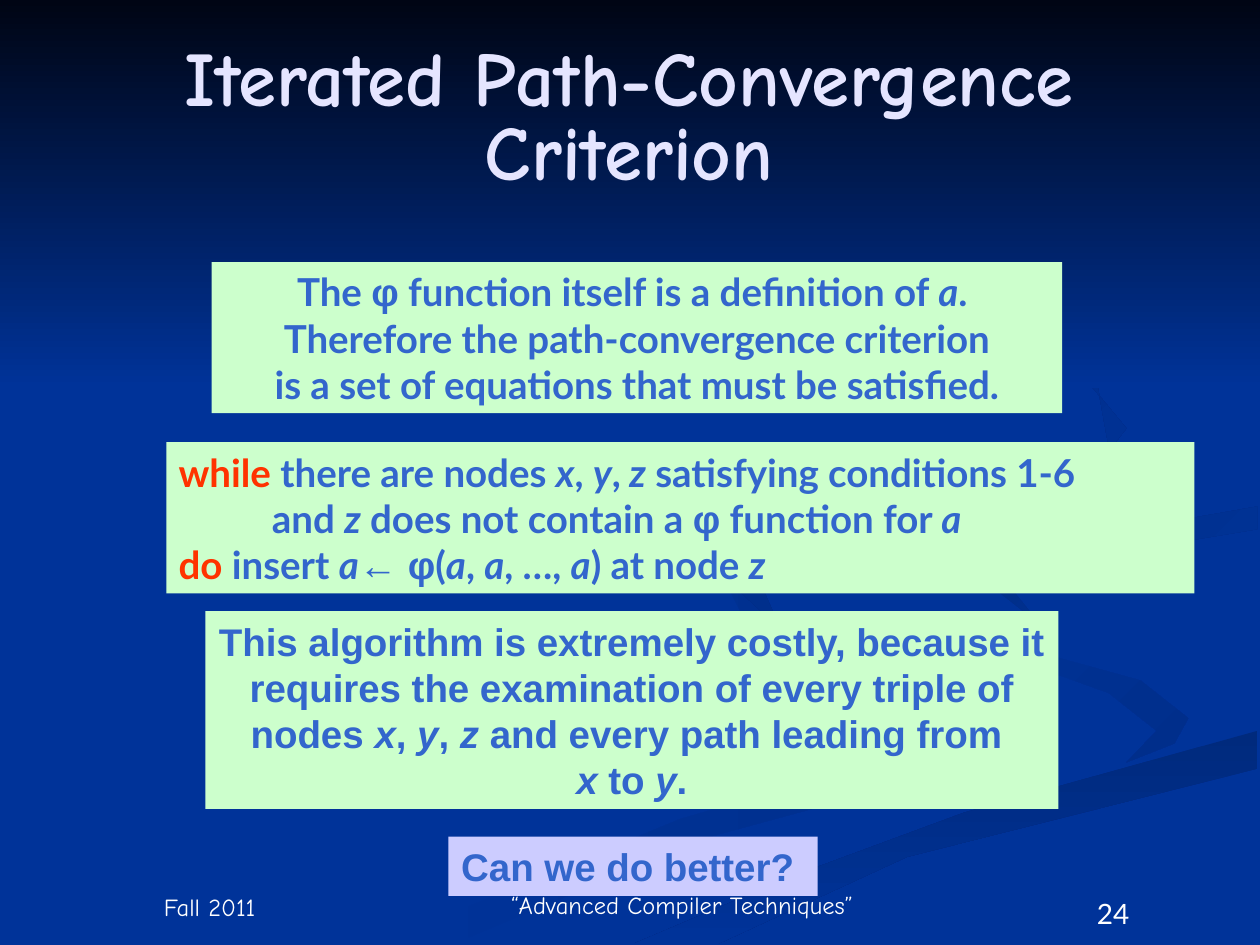
from pptx import Presentation
from pptx.dml.color import RGBColor
from pptx.enum.shapes import MSO_SHAPE
from pptx.enum.text import MSO_ANCHOR, MSO_AUTO_SIZE, PP_ALIGN
from pptx.util import Inches, Pt

RECT = MSO_SHAPE.RECTANGLE
MIDDLE, BOTTOM, TOP = MSO_ANCHOR.MIDDLE, MSO_ANCHOR.BOTTOM, MSO_ANCHOR.TOP
CENTER, LEFT = PP_ALIGN.CENTER, PP_ALIGN.LEFT
HAND, SANS, BODY = "Comic Neue", "Arial", "Lato"

COLORS = {
    "back": "003399", "night": "000514", "title": "E5E5FF", "white": "FFFFFF",
    "text": "3366CC", "keyword": "FF3300", "green": "CCFFCC", "lilac": "CCCCFF",
    "swirl": "002E8B", "band": "002A7D", "wisp": "002D86", "loop": "002B82",
}

SWIRLS = [
    ("back", "swirl", 0, [
        (7.8, 5.5), (6.4, 5.1), (5.75, 4.6), (5.9, 4.9), (7.7, 5.5), (7.8, 5.8),
        (5.4, 6.5), (3, 7.49), (3.6, 7.49), (5.6, 6.65), (7.8, 6.05), (8, 5.8)]),
    ("back", "swirl", 45, [
        (9.43, 5.7), (9.05, 5.4), (7.6, 5), (7.24, 4.64), (7.55, 5.05),
        (8.8, 5.5), (9.18, 5.8), (8.94, 6.05), (9.32, 5.9)]),
    ("band", "back", 90, [
        (5.03, 7.49), (5.7, 7.49), (7.2, 6.8), (9.98, 6.1), (9.98, 5.8),
        (7.65, 6.45), (6.3, 6.95)]),
    ("wisp", "back", 45, [
        (7.8, 4.6), (8.25, 4.95), (8.05, 4.7), (8.6, 4.43), (9.98, 4.2),
        (9.98, 4.02), (8.2, 4.33)]),
    ("loop", "back", 45, [
        (6.8, 4.3), (8.55, 3.9), (8.94, 3.4), (8.4, 2.75), (7.6, 2.33),
        (8.7, 3), (8.8, 3.55), (6.25, 4.25), (5.77, 4.6), (6.2, 5), (6, 4.55)]),
]

EQUATIONS = [
    [("The ", ""), ("φ", "s"), (" function itself is a definition of ", ""),
     ("a", "i"), (". ", "")],
    [("Therefore the path-convergence criterion", "")],
    [("is a set of equations that must be satisfied.", "")],
]
ALGORITHM = [
    [("while", "k"), (" there are nodes ", ""), ("x", "i"), (", ", ""), ("y", "i"),
     (",", ""), (" z", "i"), (" satisfying conditions 1-6", "")],
    [("and ", ""), ("z", "i"), (" does not contain a ", ""), ("φ", "s"),
     (" function for ", ""), ("a", "i")],
    [("do", "k"), (" insert ", ""), ("a", "i"), ("← φ", "s"), ("(", ""), ("a", "i"),
     (", ", ""), ("a", "i"), (", …, ", ""), ("a", "i"), (") at node ", ""), ("z", "i")],
]
COST = [
    [("This algorithm is extremely costly, because it", "")],
    [("requires the examination of every triple of", "")],
    [("nodes ", ""), ("x", "i"), (", ", ""), ("y", "i"), (", ", ""), ("z", "i"),
     (" and every path leading from ", "")],
    [("x", "i"), (" to ", ""), ("y", "i"), (".", "")],
]
QUESTION = [[("Can we do better? ", "")]]


def rgb(name):
    return RGBColor.from_string(COLORS[name])


def add_run(p, text, size, font, color, bold=False, italic=False):
    r = p.add_run()
    r.text = text
    r.font.size, r.font.name = Pt(size), font
    r.font.bold, r.font.italic = bold, italic
    r.font.color.rgb = rgb(color)


def shade(sp, colors, angle):
    sp.shadow.inherit = False
    sp.line.fill.background()
    sp.fill.gradient()
    sp.fill.gradient_angle = (360 - angle) % 360
    for stop, color in zip(sp.fill.gradient_stops, colors):
        stop.color.rgb = rgb(color)


def add_backdrop(s, box):
    s.background.fill.solid()
    s.background.fill.fore_color.rgb = rgb("back")
    for first, last, angle, outline in SWIRLS:
        points = [(Inches(x), Inches(y)) for x, y in outline]
        builder = s.shapes.build_freeform(*points[0])
        builder.add_line_segments(points[1:], close=True)
        shade(builder.convert_to_shape(), (first, last), angle)
    sky = s.shapes.add_shape(RECT, *map(Inches, box))
    shade(sky, ("night", "back"), 90)


def add_title(s, box, text):
    sp = s.shapes.title
    s.shapes.element.append(sp.element)
    sp.left, sp.top, sp.width, sp.height = map(Inches, box)
    tf = sp.text_frame
    tf.word_wrap, tf.auto_size = True, MSO_AUTO_SIZE.NONE
    tf.vertical_anchor = MIDDLE
    p = tf.paragraphs[0]
    p.alignment, p.line_spacing = CENTER, 0.8
    add_run(p, text, 44, HAND, "title", bold=True)


def add_footer(s, box, text, size, font, anchor):
    tf = s.shapes.add_textbox(*map(Inches, box)).text_frame
    tf.word_wrap, tf.vertical_anchor = True, anchor
    p = tf.paragraphs[0]
    p.alignment = CENTER
    add_run(p, text, size, font, "white")


def add_panel(s, box, lines, fill, font, align=CENTER, indents=()):
    sp = s.shapes.add_shape(RECT, *map(Inches, box))
    sp.shadow.inherit = False
    sp.line.fill.background()
    sp.fill.solid()
    sp.fill.fore_color.rgb = rgb(fill)
    tf = sp.text_frame
    tf.word_wrap, tf.vertical_anchor = align == LEFT, MIDDLE
    for i, line in enumerate(lines):
        p = tf.paragraphs[0] if i == 0 else tf.add_paragraph()
        p.alignment = align
        if i in indents:
            p._p.get_or_add_pPr().set("marL", str(Inches(0.74)))
        for text, style in line:
            add_run(p, text, 22, SANS if style == "s" else font,
                    "keyword" if style == "k" else "text",
                    bold=True, italic=style == "i")


def main():
    prs = Presentation()
    prs.slide_width, prs.slide_height = Inches(10), Inches(7.5)
    s = prs.slides.add_slide(prs.slide_layouts[5])
    add_backdrop(s, (0, 0, 10, 3.08))
    add_footer(s, (8, 7.07, 1.67, 0.4), "24", 16, BODY, TOP)
    add_footer(s, (0.5, 7, 2.33, 0.36), "Fall 2011", 14, HAND, BOTTOM)
    add_footer(s, (3.83, 7, 3.17, 0.35), "“Advanced Compiler Techniques”", 14, HAND, BOTTOM)
    add_title(s, (0.99, 0.34, 8.01, 1.25), "Iterated Path-Convergence Criterion")
    add_panel(s, (1.68, 2.08, 6.75, 1.2), EQUATIONS, "green", BODY)
    add_panel(s, (1.32, 3.51, 8.16, 1.2), ALGORITHM, "green", BODY, LEFT, indents=(1,))
    add_panel(s, (1.63, 4.85, 6.77, 1.57), COST, "green", SANS)
    add_panel(s, (3.56, 6.64, 2.93, 0.47), QUESTION, "lilac", SANS)
    prs.save("out.pptx")


if __name__ == "__main__":
    main()
